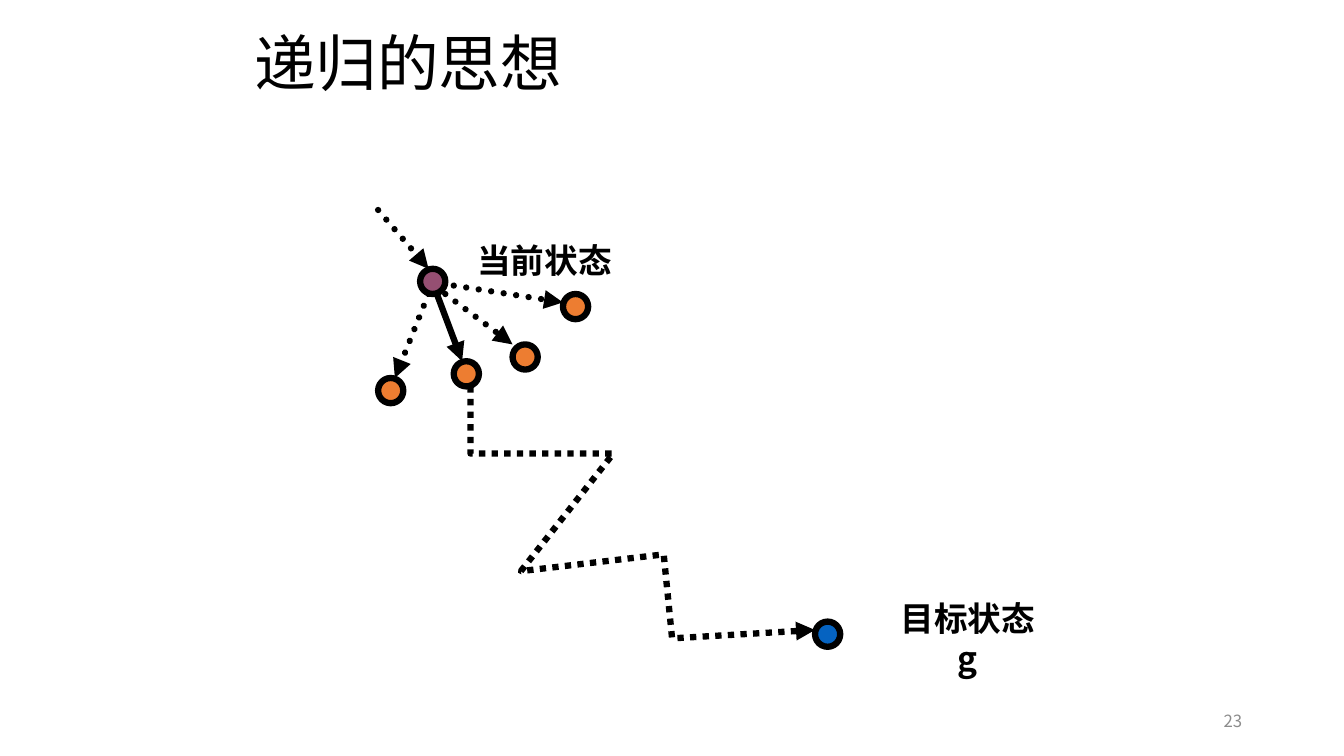
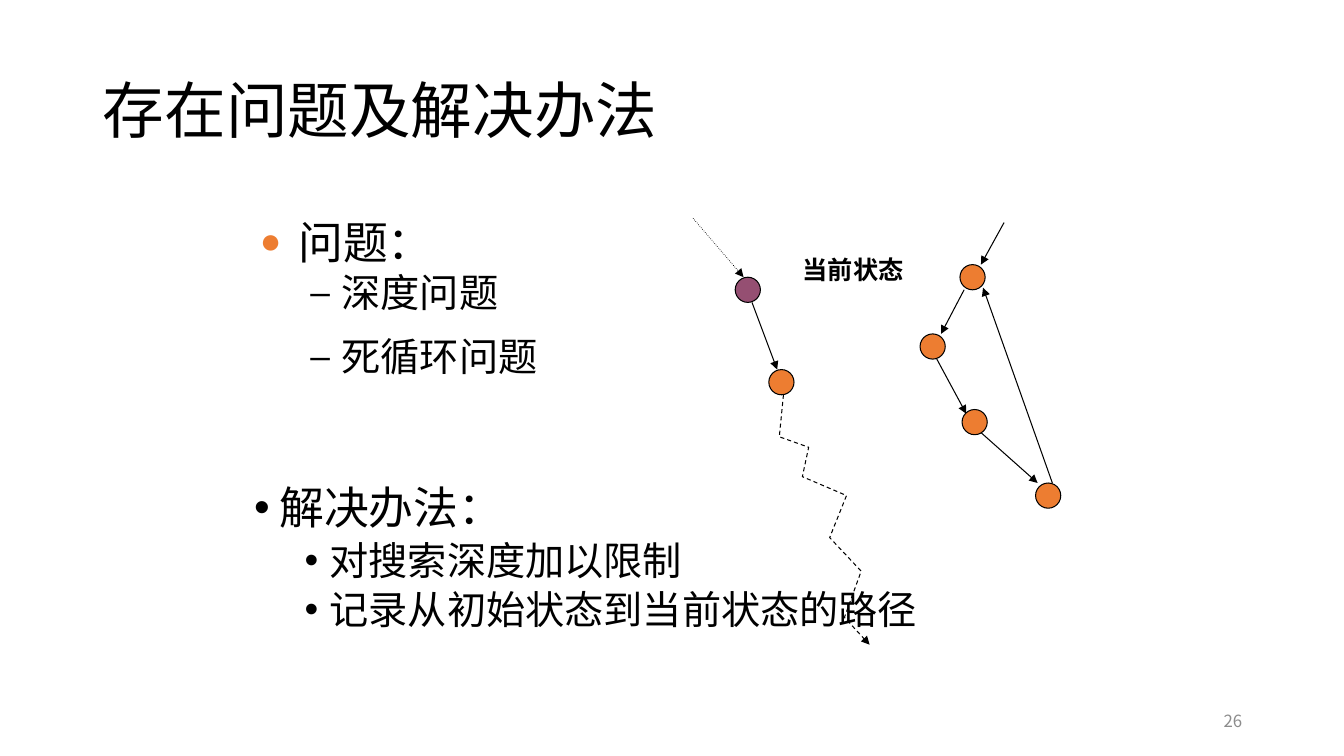
"""Build two slides on recursive search: the idea, then its problems and remedies."""
from dataclasses import dataclass

from pptx import Presentation
from pptx.dml.color import RGBColor
from pptx.enum.dml import MSO_LINE as DASH
from pptx.enum.shapes import MSO_CONNECTOR as CONN, MSO_SHAPE as SHAPE
from pptx.enum.text import MSO_ANCHOR as ANCHOR, MSO_AUTO_SIZE as FIT, PP_ALIGN as ALIGN
from pptx.oxml.ns import qn
from pptx.util import Emu, Inches, Pt


@dataclass(frozen=True)
class Theme:
    """Colours, sizes and the drawing grid."""
    font: str = "Noto Sans CJK SC"
    ink: str = "000000"
    muted: str = "8C8C8C"
    current: str = "954F72"
    node: str = "ED7D31"
    goal: str = "0563C1"
    title: int = 44
    head: int = 32
    item: int = 28
    number: int = 12
    unit: int = 76200
    dot: int = 3


T = Theme()
DOT = DASH.ROUND_DOT

IDEA = {
    "title": "递归的思想", "title_at": (2.42, 0.25, 8.5, 0.83), "number": "23",
    "weight": 4.5, "label_size": 24,
    "labels": [("当前状态", (4.62, 2.33, 1.56, 0.5)), ("目标状态g", (8.8, 6.08, 1.6, 0.5))],
    "nodes": [(50, 32, T.current), (54, 43, T.node), (97, 74, T.goal),
              (61, 41, T.node), (45, 45, T.node), (67, 35, T.node)],
    "arrows": [((52, 35), (55, 43), None), ((51, 35), (47, 45), DOT),
               ((53, 35), (61, 41), DOT), ((54, 34), (67, 36), DOT),
               ((45, 25), (51, 32), DOT)],
    "trail": [(56, 46), (56, 54), (73, 54), (62, 68), (79, 66), (80, 76), (97, 75)],
    "trail_dash": DOT,
}

ISSUES = {
    "title": "存在问题及解决办法", "title_at": (0.92, 0.4, 11.5, 1.45), "number": "26",
    "weight": 0.75, "label_size": 18,
    "labels": [("当前状态", (7.85, 2.47, 1.22, 0.4))],
    "nodes": [(87.5, 33, T.current), (91.5, 44, T.node), (114.25, 31.5, T.node),
              (109.5, 39.75, T.node), (114.5, 48.75, T.node), (123.25, 57.5, T.node)],
    "arrows": [((89.5, 36), (92.5, 44), None), ((82.5, 26), (88.5, 33), DOT),
               ((119.5, 26.5), (116.75, 31.5), None),
               ((114.75, 34.5), (112, 39.75), None),
               ((111.5, 42.75), (115, 49.25), None),
               ((116.75, 51.5), (123.5, 57.5), None),
               ((125.25, 57.5), (117, 34.25), None)],
    "trail": [(93.25, 47), (92.75, 52), (96.25, 53.25), (95.5, 56.75), (100.75, 59),
              (98.75, 64), (102.5, 68), (100.5, 73.5), (103.5, 76.75)],
    "trail_dash": DASH.DASH,
}

HEAD = {"size": T.head, "indent": (0.25, -0.25), "bullet": "•", "spacing": 0.9}
ITEM = {"size": T.item, "indent": (0.75, -0.25), "bullet": "•", "spacing": 0.9,
        "level": 1, "before": 5}
PROBLEM = {"size": T.head, "indent": (0.38, -0.38), "bullet": "●",
           "bullet_color": T.node, "bullet_size": 80}
KIND = {"size": T.item, "indent": (0.81, -0.31), "bullet": "–",
        "bullet_color": T.ink, "bullet_size": 90, "level": 1}

REMEDIES = [("解决办法：", HEAD), ("对搜索深度加以限制", ITEM),
            ("记录从初始状态到当前状态的路径", ITEM)]
PROBLEMS = [("问题：", PROBLEM), ("深度问题", KIND), ("死循环问题", {**KIND, "before": 12})]


def rgb(color):
    """Turn a hex string into a colour."""
    return RGBColor.from_string(color)


def box(at):
    """Turn inches into lengths."""
    return [Inches(v) for v in at]


def grid(*values):
    """Turn grid units into lengths."""
    return [Emu(round(v * T.unit)) for v in values]


def add_bullet(pPr, f):
    """Set indents and the bullet of a paragraph."""
    left, first = box(f["indent"])
    pPr.set("marL", str(left))
    pPr.set("indent", str(first))
    if "bullet_color" in f:
        clr = pPr.makeelement(qn("a:buClr"), {})
        clr.append(clr.makeelement(qn("a:srgbClr"), {"val": f["bullet_color"]}))
        size = pPr.makeelement(qn("a:buSzPct"), {"val": str(f["bullet_size"] * 1000)})
        pPr.extend([clr, size])
    pPr.append(pPr.makeelement(qn("a:buFont"), {"typeface": "Arial"}))
    pPr.append(pPr.makeelement(qn("a:buChar"), {"char": f["bullet"]}))


def write(sp, paragraphs, anchor=ANCHOR.TOP, wrap=True):
    """Fill a text frame with (text, format) paragraphs."""
    tf = sp.text_frame
    for name, value in {"auto_size": FIT.NONE, "word_wrap": wrap,
                        "vertical_anchor": anchor}.items():
        setattr(tf, name, value)
    for i, (text, f) in enumerate(paragraphs):
        p = tf.add_paragraph() if i else tf.paragraphs[0]
        if "bullet" in f:
            add_bullet(p._p.get_or_add_pPr(), f)
        for name, value in {"level": f.get("level", 0), "alignment": f.get("align", ALIGN.LEFT),
                            "line_spacing": f.get("spacing", 1.0),
                            "space_before": Pt(f.get("before", 0))}.items():
            setattr(p, name, value)
        r = p.add_run()
        r.text = text
        for name, value in {"name": T.font, "size": Pt(f["size"]),
                            "bold": f.get("bold", False)}.items():
            setattr(r.font, name, value)
        r.font.color.rgb = rgb(f.get("color", T.ink))
        rPr = r._r.get_or_add_rPr()
        rPr.append(rPr.makeelement(qn("a:ea"), {"typeface": T.font}))


def place(sp, at):
    """Move a placeholder."""
    for name, value in zip(("left", "top", "width", "height"), box(at)):
        setattr(sp, name, value)
    return sp


def outline(sp, weight, dash=None, arrow=False, cap="flat"):
    """Style a line, with an optional arrowhead at its end."""
    sp.line.color.rgb = rgb(T.ink)
    sp.line.width = Pt(weight)
    if dash:
        sp.line.dash_style = dash
    if arrow:
        ln = sp._element.spPr.find(qn("a:ln"))
        ln.set("cap", cap)
        ln.append(ln.makeelement(qn("a:tailEnd"), {"type": "triangle"}))


def draw_graph(s, d):
    """Draw nodes, arrows, the long trail and the labels."""
    for x, y, color in d["nodes"]:
        sp = s.shapes.add_shape(SHAPE.OVAL, *grid(x, y, T.dot, T.dot))
        sp.shadow.inherit = False
        sp.fill.solid()
        sp.fill.fore_color.rgb = rgb(color)
        outline(sp, d["weight"])
    for start, end, dash in d["arrows"]:
        sp = s.shapes.add_connector(CONN.STRAIGHT, *grid(*start, *end))
        spPr = sp._element.spPr
        outline(sp, d["weight"], dash, True, "rnd" if dash else "flat")
        spPr.append(spPr.makeelement(qn("a:effectLst"), {}))
    start, *rest = [grid(*point) for point in d["trail"]]
    path = s.shapes.build_freeform(*start)
    path.add_line_segments(rest, close=False)
    sp = path.convert_to_shape()
    sp.shadow.inherit = False
    sp.fill.background()
    outline(sp, d["weight"], d["trail_dash"], True)
    for text, at in d["labels"]:
        write(s.shapes.add_textbox(*box(at)),
              [(text, {"size": d["label_size"], "bold": True, "align": ALIGN.CENTER})],
              ANCHOR.MIDDLE)


def add_slide(prs, layout, d):
    """Add a slide with its title and number."""
    s = prs.slides.add_slide(prs.slide_layouts[layout])
    write(place(s.shapes.title, d["title_at"]),
          [(d["title"], {"size": T.title, "spacing": 0.9})], ANCHOR.MIDDLE)
    write(s.shapes.add_textbox(*box((9.42, 6.95, 3, 0.4))),
          [(d["number"], {"size": T.number, "color": T.muted, "align": ALIGN.RIGHT})],
          ANCHOR.MIDDLE)
    return s


def main():
    """Build and save the deck."""
    prs = Presentation()
    prs.slide_width, prs.slide_height = box((13.33, 7.5))
    draw_graph(add_slide(prs, 5, IDEA), IDEA)
    s = add_slide(prs, 1, ISSUES)
    write(place(s.placeholders[1], (2.42, 4.77, 8.5, 1.9)), REMEDIES)
    draw_graph(s, ISSUES)
    write(s.shapes.add_textbox(*box((2.48, 2.08, 8.5, 2.02))), PROBLEMS)
    prs.save("out.pptx")


if __name__ == "__main__":
    main()
